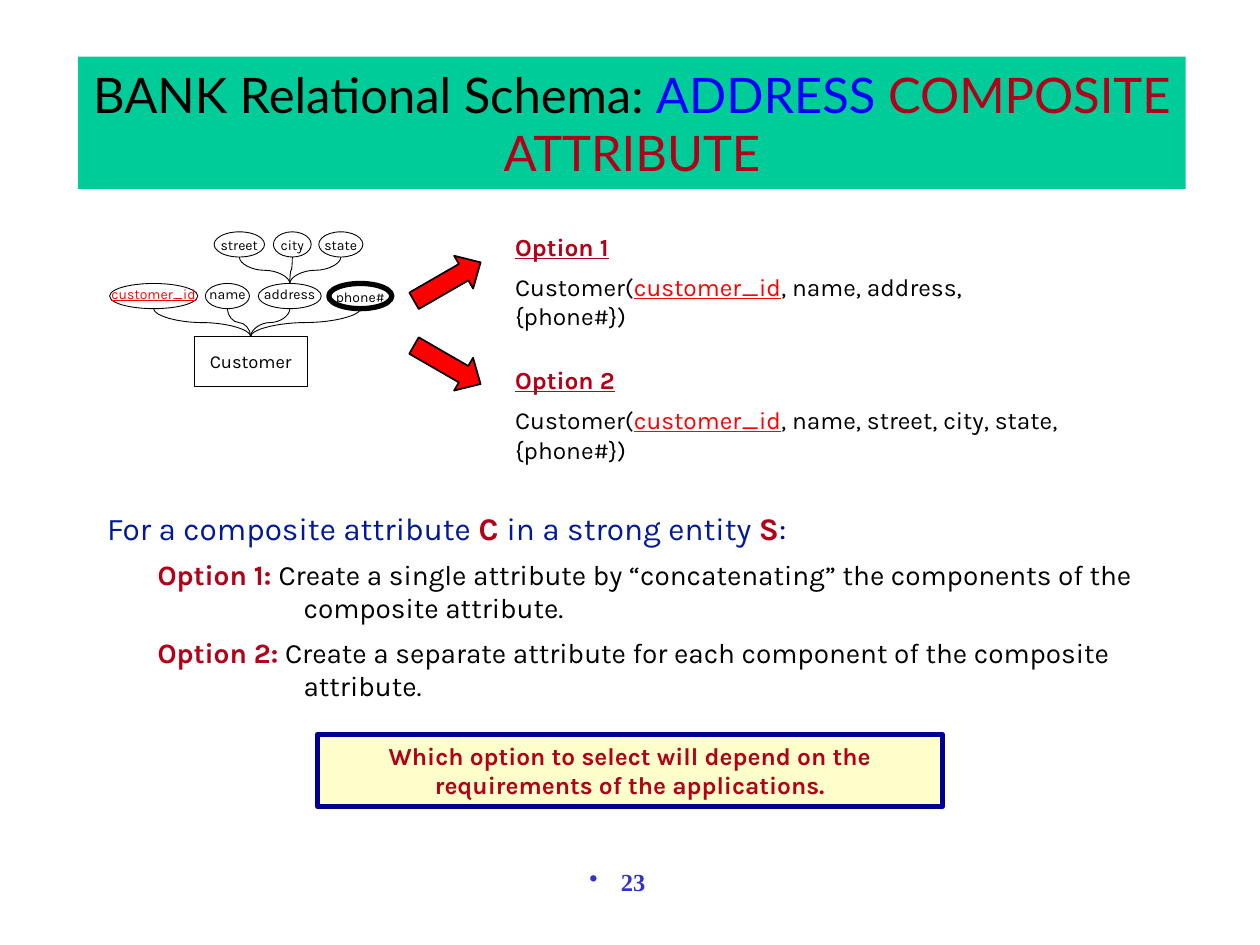
from pptx import Presentation
from pptx.util import Inches, Pt
from pptx.dml.color import RGBColor
from pptx.enum.shapes import MSO_SHAPE, MSO_CONNECTOR
from pptx.enum.text import PP_ALIGN, MSO_ANCHOR, MSO_AUTO_SIZE
from pptx.oxml.ns import qn
from lxml.etree import SubElement

BLACK = RGBColor(0, 0, 0)
RED = RGBColor(0xFF, 0, 0)
BLUE = RGBColor(0, 0, 0xFF)
CRIMSON = RGBColor(0xB3, 0x00, 0x19)
INDIGO = RGBColor(0x00, 0x19, 0x99)
NAVY = RGBColor(0, 0, 0x90)
GREEN = RGBColor(0x00, 0xCC, 0x99)
CREAM = RGBColor(0xFF, 0xFF, 0xCC)
PAGE = RGBColor(0x33, 0x33, 0xCC)

prs = Presentation()
prs.slide_width, prs.slide_height = Inches(10), Inches(7.5)
s = prs.slides.add_slide(prs.slide_layouts[1])


def add_runs(p, size, *runs, font="Karla"):
    """Each run is text, colour and style letters: b bold, u underlined."""
    for text, color, style in runs:
        r = p.add_run()
        r.text = text
        r.font.name, r.font.size, r.font.color.rgb = font, Pt(size), color
        r.font.bold, r.font.underline = "b" in style, "u" in style


def add_box(kind, x, y, w, h, fill=None, line=0.5):
    sp = s.shapes.add_shape(kind, Inches(x), Inches(y), Inches(w), Inches(h))
    sp.shadow.inherit = False
    if fill is None:
        sp.fill.background()
    else:
        sp.fill.solid()
        sp.fill.fore_color.rgb = fill
    sp.line.color.rgb, sp.line.width = BLACK, Pt(line)
    tf = sp.text_frame
    tf.vertical_anchor = MSO_ANCHOR.MIDDLE
    tf.paragraphs[0].alignment = PP_ALIGN.CENTER
    return sp


# Title
title = s.shapes.title
title.left, title.top, title.width, title.height = map(Inches, (0.62, 0.45, 8.79, 1.05))
title.fill.solid()
title.fill.fore_color.rgb = GREEN
tf = title.text_frame
tf.auto_size, tf.vertical_anchor = MSO_AUTO_SIZE.NONE, MSO_ANCHOR.MIDDLE
p = tf.paragraphs[0]
p.alignment = PP_ALIGN.CENTER
add_runs(p, 28, ("BANK Relational Schema: ", BLACK, ""), ("ADDRESS", BLUE, ""),
         (" COMPOSITE ATTRIBUTE", CRIMSON, ""), font="Lato")

# Entity
customer = add_box(MSO_SHAPE.RECTANGLE, 1.54, 2.67, 0.9, 0.4)
customer.text_frame.word_wrap = False
add_runs(customer.text_frame.paragraphs[0], 10.5, ("Customer", BLACK, ""))

# Attributes, each joined to its parent: row, left, width, border
PARTS, ATTRS = 1.84, 2.25
OVAL_H = 0.2
hubs = {PARTS: (2.3, ATTRS), ATTRS: (1.99, 2.67)}
ovals = [
    ("street", PARTS, 1.7, 0.4, 0.5), ("city", PARTS, 2.17, 0.3, 0.5),
    ("state", PARTS, 2.53, 0.35, 0.5),
    ("customer_id", ATTRS, 0.87, 0.7, 0.5), ("name", ATTRS, 1.63, 0.35, 0.5),
    ("address", ATTRS, 2.05, 0.5, 0.5), ("phone#", ATTRS, 2.61, 0.5, 3),
]
for text, y, x, w, line in ovals:
    # A sideways curve turned by 90 degrees runs from the oval down to the hub
    x1, y1 = x + w / 2, y + OVAL_H
    x2, y2 = hubs[y]
    cx, cy, dx, dy = (x1 + x2) / 2, (y1 + y2) / 2, x2 - x1, y2 - y1
    c = s.shapes.add_connector(
        MSO_CONNECTOR.CURVE, Inches(cx - dy / 2), Inches(cy + dx / 2),
        Inches(cx + dy / 2), Inches(cy - dx / 2))
    c.line.color.rgb, c.line.width = BLACK, Pt(0.5)
    spPr = c._element.spPr
    spPr.find(qn("a:xfrm")).set("rot", "5400000")
    SubElement(spPr, qn("a:effectLst"))

    sp = add_box(MSO_SHAPE.OVAL, x, y, w, OVAL_H, line=line)
    tf = sp.text_frame
    tf.word_wrap = False
    tf.margin_left = tf.margin_right = tf.margin_top = tf.margin_bottom = 0
    if y == ATTRS and text != "phone#":
        tf.margin_bottom = Inches(0.03)
    if text == "phone#":
        tf.vertical_anchor = MSO_ANCHOR.BOTTOM
    key = text == "customer_id"
    add_runs(tf.paragraphs[0], 8, (text, RED if key else BLACK, "u" if key else ""))

# Options with their arrows
options = [
    ("Option 1", 1.79, 4.61, ", name, address, {phone#})", 1.93, 240),
    ("Option 2", 2.85, 5.38, ", name, street, city, state, {phone#})", 2.59, 300),
]
for name, y, w, rest, arrow_y, angle in options:
    tf = s.shapes.add_textbox(Inches(3.99), Inches(y), Inches(w), Inches(0.65)).text_frame
    tf.word_wrap = True
    add_runs(tf.paragraphs[0], 14, (name, CRIMSON, "bu"))
    add_runs(tf.add_paragraph(), 14, ("Customer(", BLACK, ""),
             ("customer_id", RED, "u"), (rest, BLACK, ""))
    for p in tf.paragraphs:
        p.space_before = Pt(6)
    arrow = add_box(MSO_SHAPE.DOWN_ARROW, 3.4, arrow_y, 0.3, 0.61, RED, 1)
    arrow.adjustments[0], arrow.adjustments[1] = 0.5, 0.518
    arrow.rotation = angle

# Rule in the body
body = s.placeholders[1]
body.left, body.top, body.width, body.height = map(Inches, (0.75, 3.99, 8.5, 1.8))
tf = body.text_frame
tf.auto_size = MSO_AUTO_SIZE.NONE
rules = [
    (0, 18, 3.6, 0, 0, [("For a composite attribute ", INDIGO, ""), ("C ", CRIMSON, "b"),
                        ("in a strong entity ", INDIGO, ""), ("S", CRIMSON, "b"),
                        (":", NAVY, "")]),
    (1, 16, 6, 1.56, -1.16, [("Option 1: ", CRIMSON, "b"),
                             ("Create a single attribute by “concatenating” the components "
                              "of the composite attribute.", BLACK, "")]),
    (1, 16, 6, 1.56, -1.16, [("Option 2:", CRIMSON, "b"),
                             (" Create a separate attribute for each component of the "
                              "composite attribute.", BLACK, "")]),
]
for i, (level, size, before, left, indent, runs) in enumerate(rules):
    p = tf.add_paragraph() if i else tf.paragraphs[0]
    p.level, p.space_before = level, Pt(before)
    pPr = p._p.get_or_add_pPr()
    pPr.set("marL", str(Inches(left)))
    pPr.set("indent", str(Inches(indent)))
    SubElement(pPr, qn("a:buNone"))
    add_runs(p, size, *runs)

# Conclusion
note = add_box(MSO_SHAPE.RECTANGLE, 2.52, 5.83, 4.96, 0.57, CREAM, 3)
note.line.color.rgb = NAVY
note.text_frame.word_wrap = True
add_runs(note.text_frame.paragraphs[0], 14,
         ("Which option to select will depend on the requirements of the applications.",
          CRIMSON, "b"))

# Page number with its bullet
tf = s.shapes.add_textbox(Inches(0.4), Inches(6.83), Inches(9), Inches(0.5)).text_frame
tf.word_wrap = True
p = tf.paragraphs[0]
p.alignment = PP_ALIGN.CENTER
pPr = p._p.get_or_add_pPr()
pPr.set("marL", str(Inches(0.25)))
pPr.set("indent", str(Inches(-0.25)))
SubElement(pPr, qn("a:buChar")).set("char", "•")
add_runs(p, 14, ("23", PAGE, "b"), font="Times New Roman")

prs.save("out.pptx")
